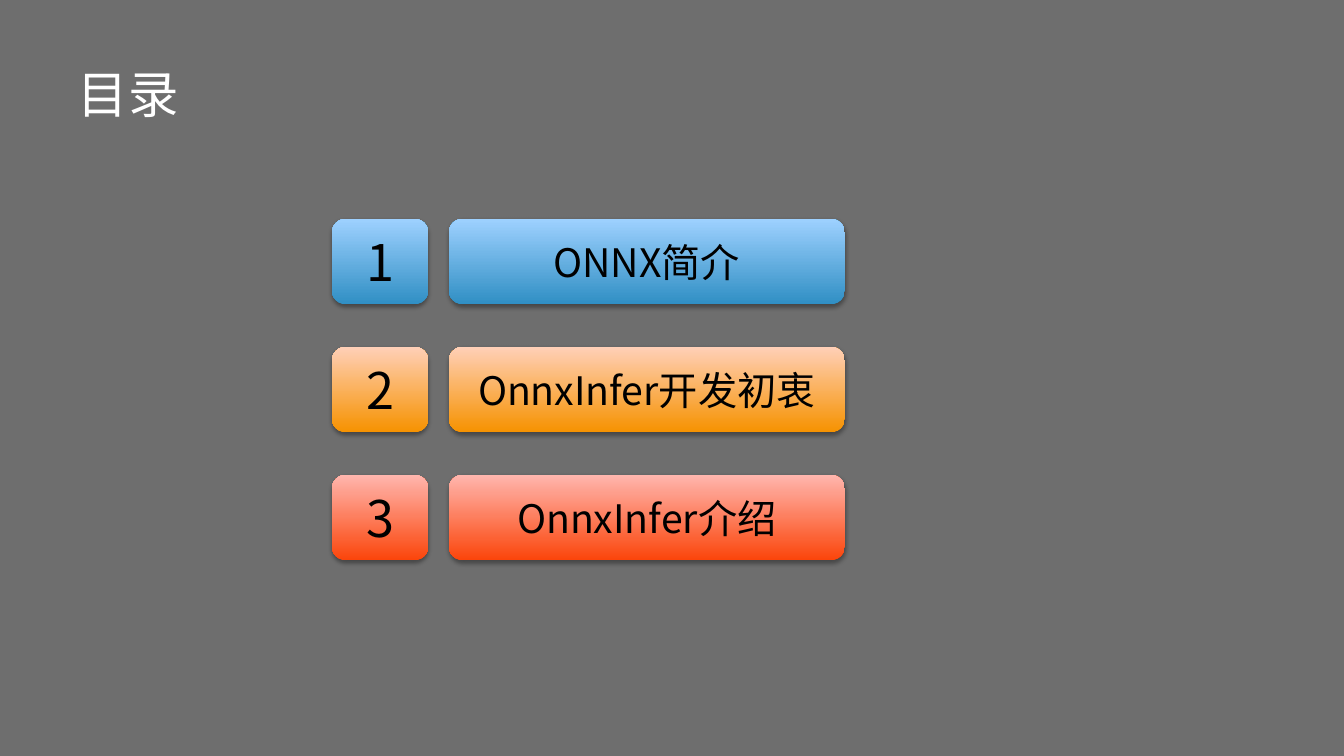
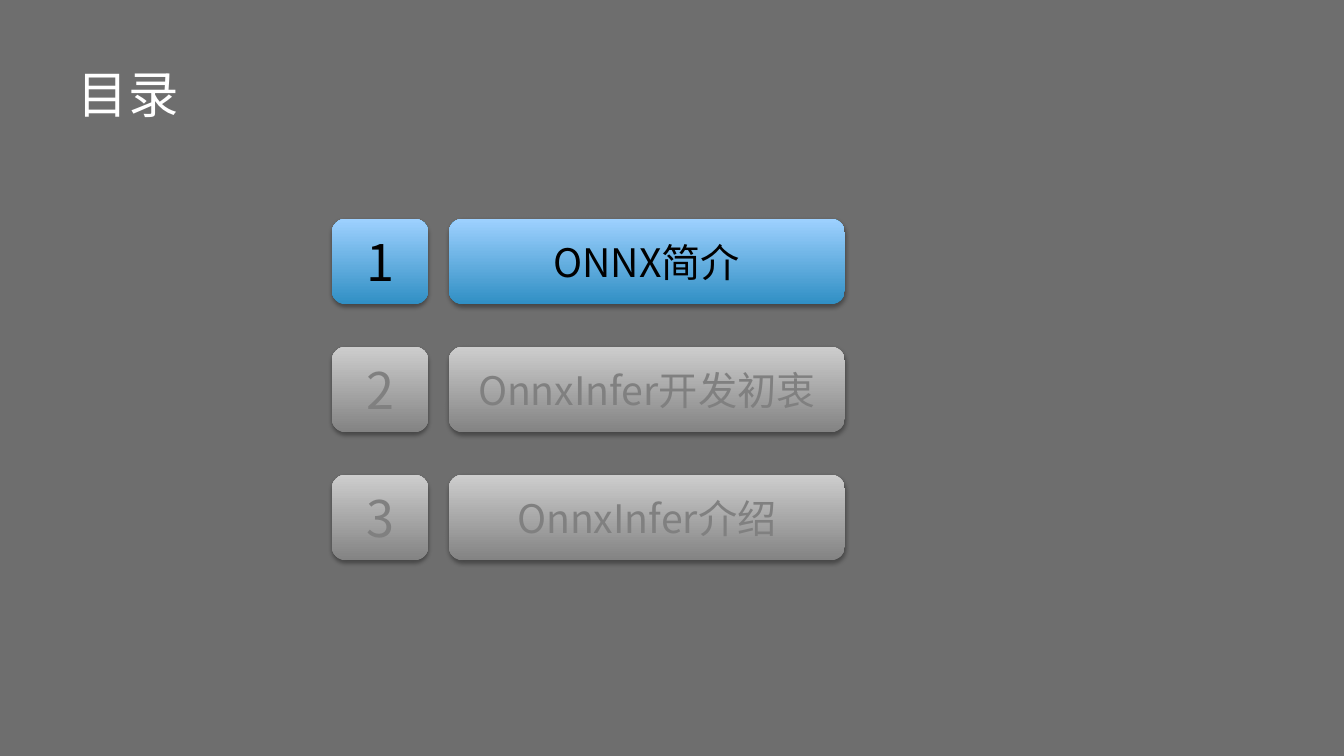
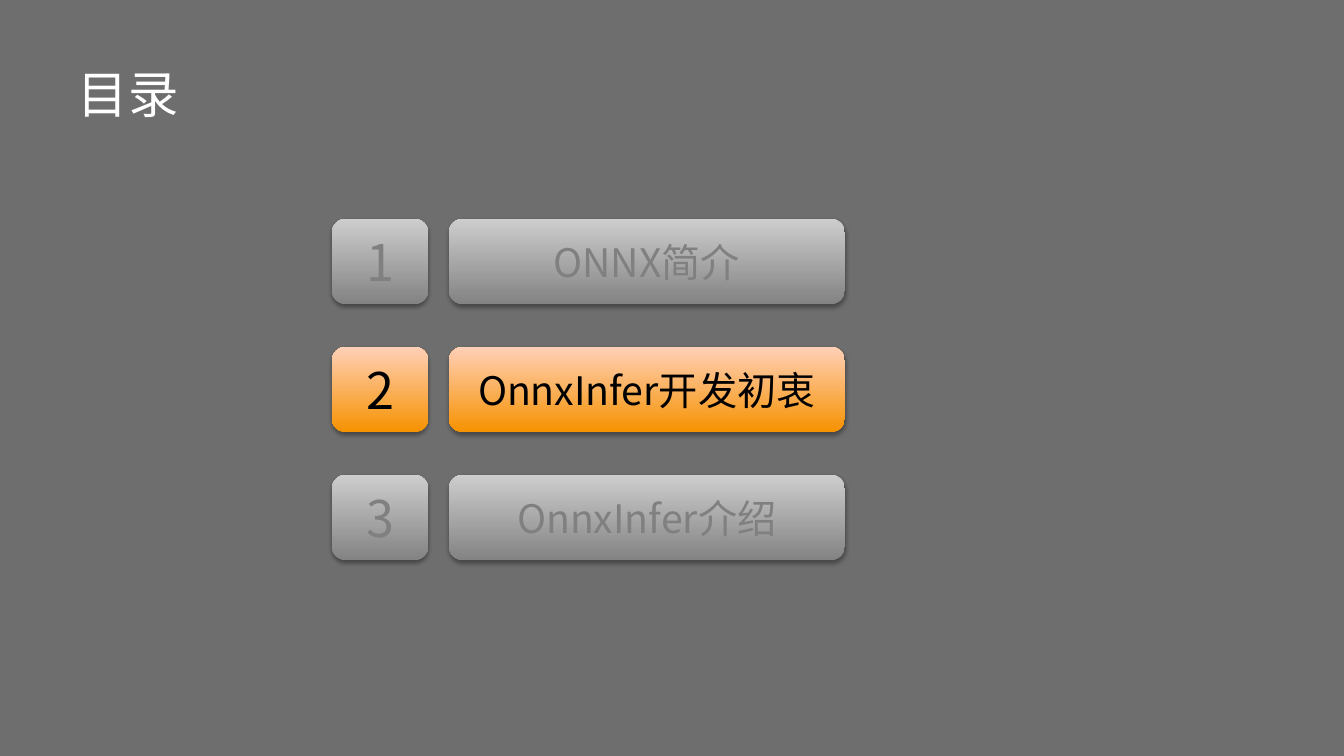
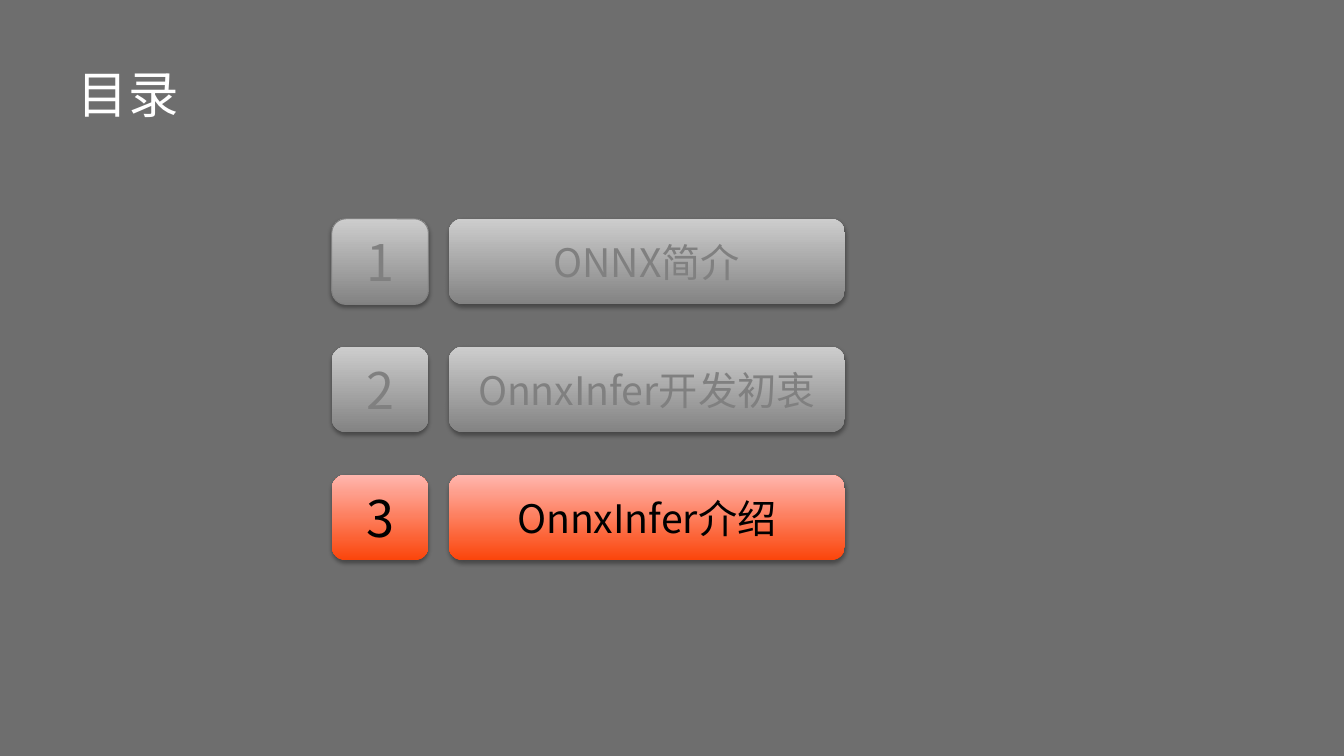
"""Build four agenda slides: an overview and one per highlighted section."""
import lxml.etree
import pptx
import pptx.dml.color
import pptx.enum.shapes
import pptx.enum.text
import pptx.oxml.ns
import pptx.util

Inches = pptx.util.Inches
Pt = pptx.util.Pt
RGBColor = pptx.dml.color.RGBColor
qn = pptx.oxml.ns.qn

FONT = "Noto Sans CJK SC"
BACKGROUND = RGBColor(0x6E, 0x6E, 0x6E)
WHITE = RGBColor(0xFF, 0xFF, 0xFF)
BLACK = RGBColor(0x00, 0x00, 0x00)
GRAY = RGBColor(0x80, 0x80, 0x80)
BLUE_GRADIENT = (RGBColor(0x30, 0x8F, 0xC4), RGBColor(0x9E, 0xD1, 0xFF))
ORANGE_GRADIENT = (RGBColor(0xF6, 0x92, 0x00), RGBColor(0xFF, 0xD0, 0xB8))
RED_GRADIENT = (RGBColor(0xFB, 0x45, 0x0B), RGBColor(0xFF, 0xB6, 0xAE))
GRAY_GRADIENT = (RGBColor(0x83, 0x83, 0x83), RGBColor(0xCD, 0xCD, 0xCD))

SECTIONS = (
    ("ONNX简介", BLUE_GRADIENT),
    ("OnnxInfer开发初衷", ORANGE_GRADIENT),
    ("OnnxInfer介绍", RED_GRADIENT),
)
TITLE_ONLY_LAYOUT = 5
FIRST_TOP = 2.17
ROW_PITCH = 1.27
BUTTON_HEIGHT = 0.85
NUMBER_LEFT, NUMBER_WIDTH = 3.29, 0.96
LABEL_LEFT, LABEL_WIDTH = 4.45, 3.93


def style_text(text_frame, size, color, alignment):
    """Align the first paragraph and format its run for Latin and Chinese text."""
    paragraph = text_frame.paragraphs[0]
    paragraph.alignment = alignment
    font = paragraph.runs[0].font
    font.size = Pt(size)
    font.color.rgb = color
    font.name = FONT
    properties = paragraph.runs[0]._r.get_or_add_rPr()
    lxml.etree.SubElement(properties, qn("a:ea"), typeface=FONT)


def add_shadow(shape):
    """Give a shape a soft shadow that falls straight down."""
    shape.shadow.inherit = False
    effects = shape._element.spPr.find(qn("a:effectLst"))
    shadow = lxml.etree.SubElement(
        effects, qn("a:outerShdw"), blurRad=str(Pt(3.1)), dist=str(Pt(1.8)),
        dir="5400000", rotWithShape="0")
    color = lxml.etree.SubElement(shadow, qn("a:srgbClr"), val=str(BLACK))
    lxml.etree.SubElement(color, qn("a:alpha"), val="35000")


def add_button(slide, left, top, width, text, size, gradient, text_color):
    """Add a rounded button with a bottom-to-top gradient and centred text."""
    button = slide.shapes.add_shape(
        pptx.enum.shapes.MSO_SHAPE.ROUNDED_RECTANGLE,
        Inches(left), Inches(top), Inches(width), Inches(BUTTON_HEIGHT))
    button.fill.gradient()
    button.fill.gradient_angle = 90
    for stop, color, position in zip(button.fill.gradient_stops, gradient, (0, 1)):
        stop.color.rgb = color
        stop.position = position
    button.line.fill.background()
    add_shadow(button)
    button.text_frame.text = text
    button.text_frame.vertical_anchor = pptx.enum.text.MSO_ANCHOR.MIDDLE
    style_text(button.text_frame, size, text_color, pptx.enum.text.PP_ALIGN.CENTER)
    return button


def add_agenda_slide(presentation, active):
    """Add an agenda slide that colours the active sections; return its numbers."""
    slide = presentation.slides.add_slide(
        presentation.slide_layouts[TITLE_ONLY_LAYOUT])
    title = slide.shapes.title
    title.text_frame.text = "目录"
    style_text(title.text_frame, 36, WHITE, pptx.enum.text.PP_ALIGN.LEFT)
    numbers = []
    for index, (label, section_gradient) in enumerate(SECTIONS):
        top = FIRST_TOP + index * ROW_PITCH
        colors = (section_gradient, BLACK) if index in active else (GRAY_GRADIENT, GRAY)
        add_button(slide, LABEL_LEFT, top, LABEL_WIDTH, label, 28, *colors)
        numbers.append(add_button(
            slide, NUMBER_LEFT, top, NUMBER_WIDTH, str(index + 1), 36, *colors))
    return numbers


def set_up_master(presentation):
    """Set the shared background and the place of the title."""
    master = presentation.slide_master
    master.background.fill.solid()
    master.background.fill.fore_color.rgb = BACKGROUND
    for placeholder in master.placeholders:
        if placeholder.placeholder_format.type == pptx.enum.shapes.PP_PLACEHOLDER.TITLE:
            placeholder.left, placeholder.top = Inches(0.67), Inches(0.3)
            placeholder.width, placeholder.height = Inches(12), Inches(1.25)
            placeholder.text_frame.vertical_anchor = pptx.enum.text.MSO_ANCHOR.MIDDLE


def main():
    """Build and save the presentation."""
    presentation = pptx.Presentation()
    presentation.slide_width = Inches(13.33)
    presentation.slide_height = Inches(7.5)
    set_up_master(presentation)
    for active in ((0, 1, 2), (0,), (1,), (2,)):
        numbers = add_agenda_slide(presentation, active)
    first_number = numbers[0]
    first_number.line.color.rgb = GRAY
    first_number.line.width = Pt(0.75)
    presentation.save("out.pptx")


if __name__ == "__main__":
    main()
